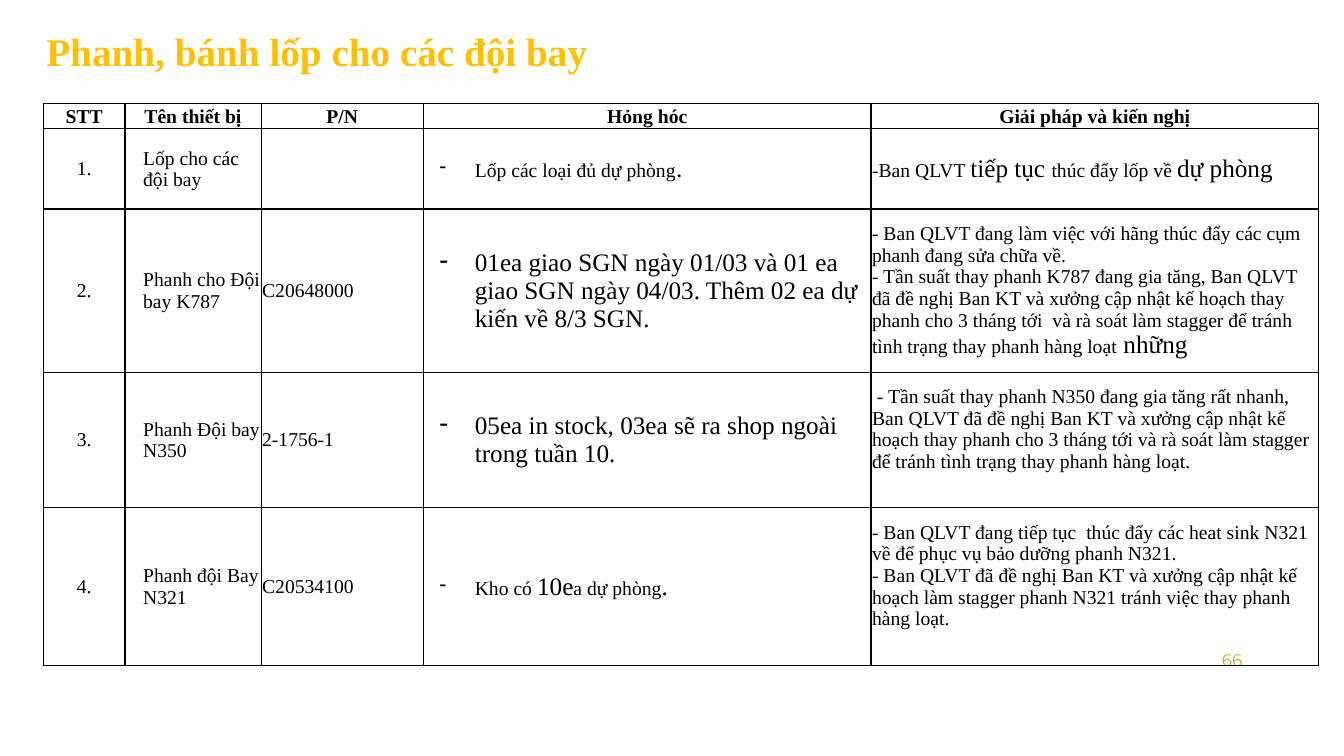
from lxml.etree import SubElement
from pptx import Presentation
from pptx.dml.color import RGBColor
from pptx.enum.text import MSO_ANCHOR, PP_ALIGN
from pptx.oxml import parse_xml
from pptx.oxml.ns import nsdecls, qn
from pptx.util import Inches, Pt

HUES = {"title": "FFC000", "page": "D2A43B", "ink": "000000"}
SERIF = "Times New Roman"
SMALL, LARGE = 14, 18


def style(par, size, face, hue, bold=False):
    font = par.font
    font.size, font.name, font.bold = Pt(size), face, bold
    font.color.rgb = RGBColor.from_string(HUES[hue])


def border(cell, sides):
    props = cell._tc.get_or_add_tcPr()
    for spot, side in enumerate(sides):
        props.insert(spot, parse_xml(
            f'<a:ln{side} {nsdecls("a")} w="12700"><a:solidFill>'
            f'<a:srgbClr val="{HUES["ink"]}"/></a:solidFill></a:ln{side}>'))


deck = Presentation()
deck.slide_width, deck.slide_height = Inches(13.33), Inches(7.5)
slide = deck.slides.add_slide(deck.slide_layouts[5])

# Title
title = slide.shapes.title
title.left, title.top = Inches(0.3), Inches(0.14)
title.width, title.height = Inches(11.66), Inches(0.78)
frame = title.text_frame
frame.text = "Phanh, bánh lốp cho các đội bay"
frame.vertical_anchor = MSO_ANCHOR.MIDDLE
head = frame.paragraphs[0]
head.alignment, head.line_spacing = PP_ALIGN.LEFT, 0.9
head._p.get_or_add_pPr().set("marL", str(Inches(0.06)))
style(head, 28, SERIF, "title", True)

# Page number
page = slide.shapes.add_textbox(Inches(9.42), Inches(6.35), Inches(3), Inches(0.4))
frame = page.text_frame
frame.word_wrap = True
frame.vertical_anchor = MSO_ANCHOR.MIDDLE
frame.text = "66"
frame.paragraphs[0].alignment = PP_ALIGN.RIGHT
style(frame.paragraphs[0], 12, "Montserrat", "page")

# Table text: "|" switches between small and large type, a newline starts a paragraph
rows = [
    [""] * 5,
    ["STT", "Tên thiết bị", "P/N", "Hỏng hóc", "Giải pháp và kiến nghị"],
    ["1.", "Lốp cho các đội bay", "", "Lốp các loại đủ dự phòng|.",
     "-Ban QLVT |tiếp tục |thúc đẩy lốp về |dự phòng"],
    ["2.", "Phanh cho Đội bay K787", "C20648000",
     "|01ea giao SGN ngày 01/03 và 01 ea giao SGN ngày 04/03. "
     "Thêm 02 ea dự kiến về 8/3 SGN.",
     "- Ban QLVT đang làm việc với hãng thúc đẩy các cụm phanh đang sửa chữa về.\n"
     "- Tần suất thay phanh K787 đang gia tăng, Ban QLVT đã đề nghị Ban KT và "
     "xưởng cập nhật kế hoạch thay phanh cho 3 tháng tới  và rà soát làm stagger "
     "để tránh tình trạng thay phanh hàng loạt| những"],
    ["3.", "Phanh Đội bay N350", "2-1756-1",
     "|05ea in stock, 03ea sẽ ra shop ngoài trong tuần 10.",
     " - Tần suất thay phanh N350 đang gia tăng rất nhanh, Ban QLVT đã đề nghị "
     "Ban KT và xưởng cập nhật kế hoạch thay phanh cho 3 tháng tới và rà soát làm "
     "stagger để tránh tình trạng thay phanh hàng loạt."],
    ["4.", "Phanh đội Bay N321", "C20534100", "Kho có |10e|a dự phòng|.",
     "- Ban QLVT đang tiếp tục  thúc đẩy các heat sink N321 về để phục vụ bảo dưỡng "
     "phanh N321.\n"
     "- Ban QLVT đã đề nghị Ban KT và xưởng cập nhật kế hoạch làm stagger phanh "
     "N321 tránh việc thay phanh hàng loạt."],
]
widths = [0.81, 1.35, 1.61, 4.44, 4.44]
heights = [0.24, 0.24, 0.8, 1.62, 1.34, 1.57]

# Table
grid = slide.shapes.add_table(len(rows), len(widths), Inches(0.43), Inches(0.79),
                              Inches(sum(widths)), Inches(sum(heights))).table
grid.first_row = grid.horz_banding = False
for col, width in zip(grid.columns, widths):
    col.width = Inches(width)
for row, height in zip(grid.rows, heights):
    row.height = Inches(height)
grid.cell(0, 0).merge(grid.cell(0, len(widths) - 1))

for r, row in enumerate(rows):
    for c, text in enumerate(row):
        cell = grid.cell(r, c)
        cell.fill.background()
        border(cell, "B" if r == 0 else "LRTB")
        cell.vertical_anchor = MSO_ANCHOR.MIDDLE
        cell.margin_left = cell.margin_right = cell.margin_top = Inches(0.01)
        # The last two solutions sit a line above the middle
        cell.margin_bottom = Inches(0.22 if c == 4 and r > 3 else 0)
        for n, line in enumerate(text.split("\n")):
            frame = cell.text_frame
            par = frame.add_paragraph() if n else frame.paragraphs[0]
            if not line:
                SubElement(par._p, qn("a:endParaRPr"), sz="1200")
                continue
            props = par._p.get_or_add_pPr()
            if r == 1 or c == 0:
                par.alignment = PP_ALIGN.CENTER
            elif c == 1:
                props.set("marL", str(Inches(0.17)))
            elif c == 3:
                props.set("marL", str(Inches(0.5)))
                props.set("indent", str(Inches(-0.35)))
                SubElement(props, qn("a:buChar"), char="-")
            style(par, LARGE if line[0] == "|" else SMALL, SERIF, "ink", r == 1)
            for k, part in enumerate(line.split("|")):
                if part:
                    run = par.add_run()
                    run.text = part
                    if k % 2 and line[0] != "|":
                        run.font.size = Pt(LARGE)

deck.save("out.pptx")
